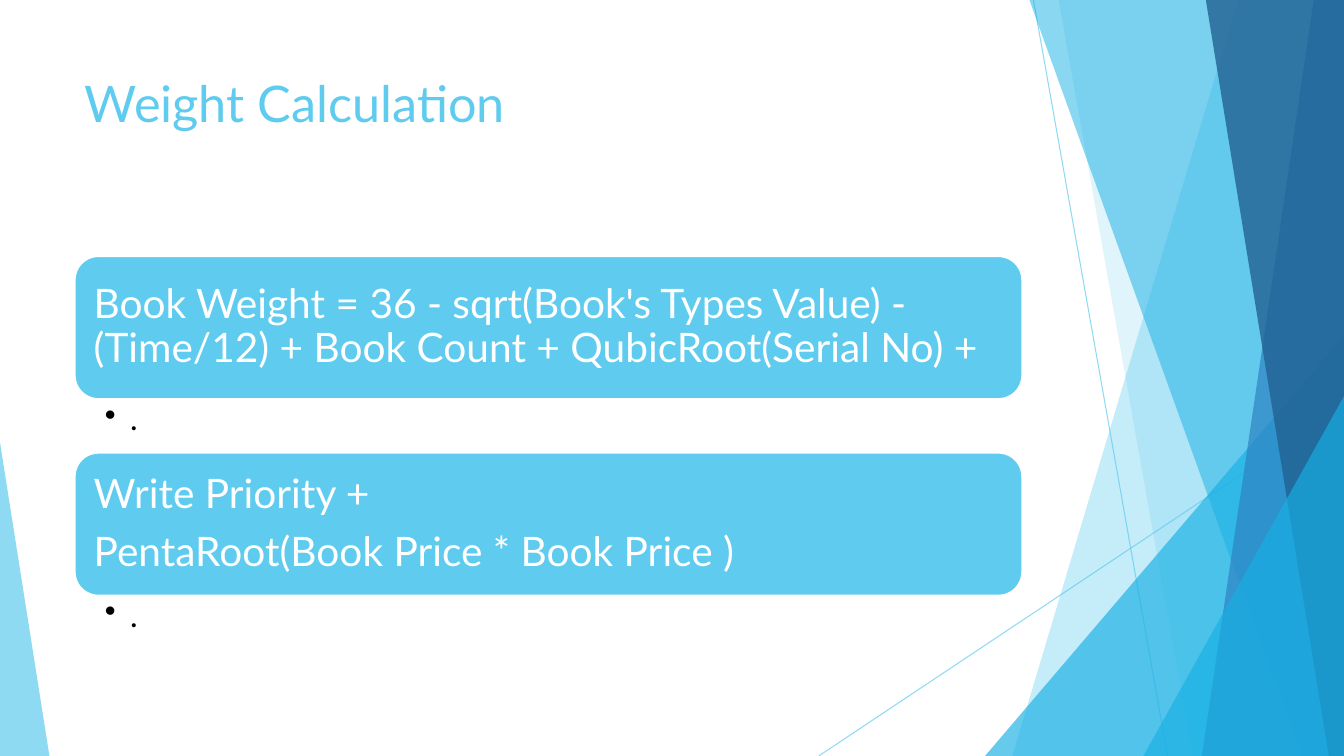
from lxml import etree
from pptx import Presentation
from pptx.dml.color import RGBColor
from pptx.enum.shapes import MSO_CONNECTOR, MSO_SHAPE
from pptx.enum.text import MSO_ANCHOR, PP_ALIGN
from pptx.oxml.ns import qn
from pptx.util import Inches, Pt

STRAIGHT = MSO_CONNECTOR.STRAIGHT
TRIANGLE = MSO_SHAPE.ISOSCELES_TRIANGLE
ROUNDED = MSO_SHAPE.ROUNDED_RECTANGLE
TOP, MIDDLE = MSO_ANCHOR.TOP, MSO_ANCHOR.MIDDLE
LEFT = PP_ALIGN.LEFT

FONT = "Lato"
WIDTH, HEIGHT = 13.33, 7.5
SKY, CYAN, BLUE, NAVY = "5FCBEF", "17B0E4", "2E83C3", "226292"
WHITE, BLACK = "FFFFFF", "000000"
COLUMN_LEFT, COLUMN_WIDTH = 0.74, 9.4
CARD_TOP, CARD_HEIGHT, NOTE_HEIGHT = 2.54, 1.42, 0.53

RAYS = [((10.25, 0), (11.58, HEIGHT)), ((WIDTH, 4.03), (8.12, HEIGHT))]
BACK_BANDS = [(12.28, 10.04, SKY, 36), (10.5, 11.83, SKY, 20)]
FRONT_BANDS = [(10.21, 12.91, CYAN, 50), (13.03, 11.92, BLUE, 70),
               (11.96, 13.18, NAVY, 80)]
SECTIONS = [
    (["Book Weight = 36 - sqrt(Book's Types Value) - (Time/12) + "
      "Book Count + QubicRoot(Serial No) +"], "."),
    (["Write Priority +", "PentaRoot(Book Price * Book Price )"], "."),
]


def rgb(value):
    """Turn a hex string into a colour."""
    return RGBColor.from_string(value)


def apply(target, formats):
    """Set every attribute in a dict of format values."""
    for name, value in formats.items():
        setattr(target, name, value)


def paint(fill, color, opacity=100):
    """Fill with a solid colour at an opacity in percent."""
    fill.solid()
    fill.fore_color.rgb = rgb(color)
    if opacity < 100:
        swatch = fill._xPr.find(".//" + qn("a:srgbClr"))
        etree.SubElement(swatch, qn("a:alpha"), val=str(opacity * 1000))


def add_ray(slide, start, end):
    """Draw a thin translucent line."""
    ray = slide.shapes.add_connector(
        STRAIGHT, *[Inches(value) for value in start + end])
    ray.line.width = Pt(0.75)
    paint(ray.line.fill, SKY, 70)
    etree.SubElement(ray._element.spPr, qn("a:effectLst"))


def add_band(slide, top_x, bottom_x, color, opacity):
    """Draw a band from a slanted left edge to the right slide edge."""
    builder = slide.shapes.build_freeform(Inches(top_x), 0)
    corners = [(WIDTH, 0), (WIDTH, HEIGHT), (bottom_x, HEIGHT)]
    builder.add_line_segments([(Inches(x), Inches(y)) for x, y in corners])
    band = builder.convert_to_shape()
    band.shadow.inherit = False
    band.line.fill.background()
    paint(band.fill, color, opacity)


def add_wedge(slide, left, width, height, apex, color, opacity):
    """Draw a triangle standing on the bottom edge of the slide."""
    wedge = slide.shapes.add_shape(
        TRIANGLE, Inches(left), Inches(HEIGHT - height),
        Inches(width), Inches(height))
    wedge.adjustments[0] = apex
    wedge.shadow.inherit = False
    wedge.line.fill.background()
    paint(wedge.fill, color, opacity)


def add_backdrop(slide):
    """Draw the overlapping facets at both sides."""
    for start, end in RAYS:
        add_ray(slide, start, end)
    for band in BACK_BANDS:
        add_band(slide, *band)
    add_wedge(slide, 9.77, 3.56, 4.17, 1, CYAN, 66)
    for band in FRONT_BANDS:
        add_band(slide, *band)
    add_wedge(slide, 11.34, 1.99, 3.57, 1, CYAN, 66)
    add_wedge(slide, 0, 0.49, 3.11, 0, SKY, 70)


def write_paragraph(paragraph, text, size, color, space_after=0):
    """Write one left-aligned paragraph."""
    paragraph.text = text
    apply(paragraph, {"alignment": LEFT, "line_spacing": 0.9,
                      "space_after": Pt(space_after)})
    apply(paragraph.font, {"name": FONT, "size": Pt(size)})
    paragraph.font.color.rgb = rgb(color)


def set_title(slide, text):
    """Place and format the slide title."""
    title = slide.shapes.title
    apply(title, {"left": Inches(COLUMN_LEFT), "top": Inches(0.67),
                  "width": Inches(COLUMN_WIDTH), "height": Inches(1.44)})
    title.text_frame.vertical_anchor = TOP
    paragraph = title.text_frame.paragraphs[0]
    write_paragraph(paragraph, text, 36, SKY)
    paragraph.line_spacing = 1.0


def add_card(slide, top, formulas):
    """Draw a rounded card holding formula lines."""
    card = slide.shapes.add_shape(
        ROUNDED, Inches(COLUMN_LEFT), Inches(top),
        Inches(COLUMN_WIDTH), Inches(CARD_HEIGHT))
    card.shadow.inherit = False
    paint(card.fill, SKY)
    paint(card.line.fill, WHITE)
    card.line.width = Pt(1.5)
    frame = card.text_frame
    inset = Inches(0.12)
    apply(frame, {"word_wrap": True, "vertical_anchor": MIDDLE,
                  "margin_left": inset, "margin_right": inset,
                  "margin_top": inset, "margin_bottom": inset})
    for index, formula in enumerate(formulas):
        paragraph = frame.add_paragraph() if index else frame.paragraphs[0]
        write_paragraph(paragraph, formula, 29, WHITE, 10)


def add_note(slide, top, text):
    """Add a bulleted note below a card."""
    note = slide.shapes.add_textbox(
        Inches(COLUMN_LEFT), Inches(top),
        Inches(COLUMN_WIDTH), Inches(NOTE_HEIGHT))
    frame = note.text_frame
    apply(frame, {"word_wrap": True, "vertical_anchor": TOP,
                  "margin_left": Inches(0.3), "margin_right": Inches(0.23),
                  "margin_top": Inches(0.04), "margin_bottom": Inches(0.04)})
    paragraph = frame.paragraphs[0]
    paragraph.level = 1
    properties = paragraph._p.get_or_add_pPr()
    properties.set("marL", str(Inches(0.25)))
    properties.set("indent", str(Inches(-0.25)))
    etree.SubElement(properties, qn("a:buChar"), char="•")
    write_paragraph(paragraph, text, 23, BLACK, 5)


def main():
    """Build and save the slide."""
    deck = Presentation()
    apply(deck, {"slide_width": Inches(WIDTH), "slide_height": Inches(HEIGHT)})
    slide = deck.slides.add_slide(deck.slide_layouts[5])
    add_backdrop(slide)
    set_title(slide, "Weight Calculation")
    for index, (formulas, note) in enumerate(SECTIONS):
        top = CARD_TOP + index * (CARD_HEIGHT + NOTE_HEIGHT)
        add_card(slide, top, formulas)
        add_note(slide, top + CARD_HEIGHT, note)
    deck.save("out.pptx")


if __name__ == "__main__":
    main()
